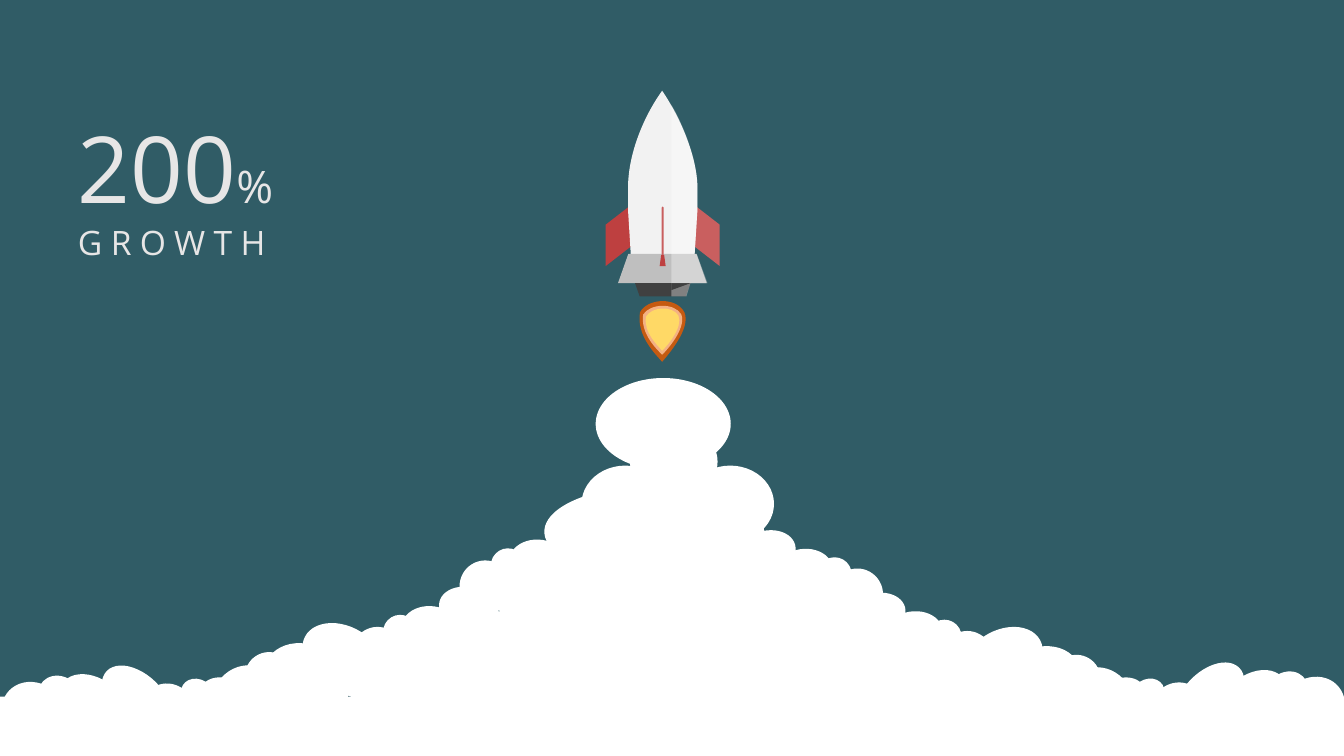
from math import radians, sin

from lxml.etree import SubElement
from pptx import Presentation
from pptx.dml.color import RGBColor
from pptx.enum.shapes import MSO_SHAPE
from pptx.enum.text import MSO_AUTO_SIZE
from pptx.oxml.ns import qn
from pptx.util import Pt

WHITE = "FFFFFF"
RED = "BE4040"
LIGHT_RED = "C95F5F"
DARK = "404040"

SMALL_ROUND = [(0, 0, 36.7, 36.7), (22.3, -8.6, 24.5, 24.5),
               (35, -14.6, 45.4, 36), (62, -28.4, 43.2, 31)]
LARGE_ROUND = [(0, 0, 51.8, 51.8), (23, -9.4, 34.6, 34.6),
               (35.3, -14.4, 63.4, 51.1), (62.6, -28.1, 60.5, 43.2)]
SMALL_FLAT = [(0, 0, 36.7, 31.7), (25.9, -3.6, 24.5, 20.9),
              (38.2, -2.9, 45.4, 31), (68.4, -7.9, 43.2, 26.6)]
LARGE_FLAT = [(0, 0, 51.8, 44.6), (26.6, -5, 34.6, 29.5),
              (37.4, -2.2, 63.4, 43.9), (68.4, -7.2, 60.5, 37.4)]

PUFF_BANKS = [
    (SMALL_ROUND, 13.7, (328.3, 400.3), (594, 406.1)),
    (SMALL_ROUND, 13.7, (251.3, 447.8), (672.5, 450.7)),
    (LARGE_ROUND, 27.2, (151.9, 475.2), (757.4, 476.6)),
    (SMALL_FLAT, 30.7, (190.1, 466.6), (733.7, 468)),
    (SMALL_FLAT, 30.7, (103, 488.9), (821.5, 488.2)),
    (LARGE_FLAT, 44.3, (-0.7, 488.9), (910.8, 485.3)),
]
RIGHT_TILT = 1.4

PLUME = [
    (415.4, 332.6, 62.6, 54.7), (490.3, 332.6, 62.6, 54.7),
    (450, 302.4, 62.6, 54.7), (425.5, 270, 96.5, 65.5),
    (276.5, 427, 409.7, 93.6), (349.2, 392.4, 257, 65.5),
    (388.8, 347, 157, 65.5), (239, 461.5, 487.4, 55.4),
]

FLAMES = [
    ("C55A11", (456.5, 215.3, 33.1, 43.2),
     [(457.2, 223.2), (454.3, 239.8, 468.7, 253.4, 473, 258.5),
      (476.6, 254.2, 493.9, 234.7, 488.9, 223.2),
      (483.1, 211.7, 462.2, 213.1, 457.2, 223.2)]),
    ("F4B183", (459.4, 218.2, 28.1, 35.3),
     [(459.4, 224.6), (457.2, 238.3, 469.4, 249.8, 473, 253.4),
      (476.6, 249.8, 490.3, 234.7, 486.7, 224.6),
      (481.7, 216, 464.4, 216.7, 459.4, 224.6)]),
    ("FFD966", (461.5, 220.3, 23.8, 30.2),
     [(461.5, 226.1), (459.4, 237.6, 470.2, 247, 473, 250.6),
      (475.9, 247.7, 488.2, 234, 484.6, 225.4),
      (480.2, 218.2, 465.8, 218.9, 461.5, 226.1)]),
]
BODY = [(473, 64.8), (485.3, 82.8, 498.2, 111.6, 498.2, 134.6),
        (498.2, 149.8), (498.2, 149.8), (496.1, 183.6), (450.7, 183.6),
        (448.6, 149.8), (448.6, 149.8), (448.6, 134.6),
        (448.6, 109.4, 460.1, 82.8, 473, 64.8)]
HIGHLIGHT = [(479.5, 74.9), (482.4, 79.9),
             (491, 96.5, 498.2, 117.4, 498.2, 134.6),
             (498.2, 149.8), (498.2, 149.8), (496.1, 181.4), (497.5, 181.4),
             (504.7, 202.3), (493.2, 202.3), (490.3, 211.7), (479.5, 211.7)]


def color(value):
    return RGBColor.from_string(value)


class Painter:
    font = "Open Sans"
    text_color = "E7E6E6"

    def __init__(self, page, background):
        self.page = page
        self.canvas = page.shapes
        page.background.fill.solid()
        page.background.fill.fore_color.rgb = color(background)

    def start_group(self):
        self.canvas = self.page.shapes.add_group_shape().shapes

    def finish(self, shape, fill, alpha=None):
        shape.shadow.inherit = False
        shape.line.fill.background()
        shape.fill.solid()
        shape.fill.fore_color.rgb = color(fill)
        if alpha is not None:
            tint = shape.element.spPr.find(qn("a:solidFill"))[0]
            SubElement(tint, qn("a:alpha")).set("val", str(alpha * 1000))

    def preset(self, kind, place, fill, adjust=None, rotation=0, flip=None, alpha=None):
        shape = self.canvas.add_shape(kind, *map(Pt, place))
        self.finish(shape, fill, alpha)
        shape.rotation = rotation
        if adjust is not None:
            shape.adjustments[0] = adjust
        if flip:
            shape.element.spPr.find(qn("a:xfrm")).set(flip, "1")

    def outline(self, place, segments, fill, alpha=None):
        left, top, width, height = place
        right, bottom = left + width, top + height
        builder = self.canvas.build_freeform(Pt(left), Pt(top))
        corners = [(right, top), (right, bottom), (left, bottom)]
        builder.add_line_segments([(Pt(x), Pt(y)) for x, y in corners], close=True)
        shape = builder.convert_to_shape()
        route = next(shape.element.iter(qn("a:path")))
        for step in list(route):
            route.remove(step)
        for index, segment in enumerate(segments):
            curve = "a:cubicBezTo" if len(segment) == 6 else "a:lnTo"
            step = SubElement(route, qn(curve if index else "a:moveTo"))
            for x, y in zip(segment[::2], segment[1::2]):
                point = SubElement(step, qn("a:pt"))
                point.set("x", str(Pt(x - left)))
                point.set("y", str(Pt(y - top)))
        SubElement(route, qn("a:close"))
        self.finish(shape, fill, alpha)

    def puff(self, place, rotation=0):
        self.preset(MSO_SHAPE.OVAL, place, WHITE, rotation=rotation)

    def text(self, place, lines):
        box = self.page.shapes.add_textbox(*map(Pt, place))
        frame = box.text_frame
        frame.word_wrap = True
        frame.auto_size = MSO_AUTO_SIZE.SHAPE_TO_FIT_TEXT
        for index, runs in enumerate(lines):
            para = frame.add_paragraph() if index else frame.paragraphs[0]
            for words, size, spacing in runs:
                span = para.add_run()
                span.text = words
                span.font.name = self.font
                span.font.size = Pt(size)
                span.font.color.rgb = color(self.text_color)
                if spacing:
                    span.font._element.set("spc", str(spacing * 100))


def draw_smoke(painter):
    painter.start_group()
    painter.preset(MSO_SHAPE.RECTANGLE, (0, 497.5, 960, 42.5), WHITE)
    drift = sin(radians(RIGHT_TILT))
    for puffs, angle, (left, left_top), (right, right_top) in PUFF_BANKS:
        first_width = puffs[0][2]
        for x, y, width, height in puffs:
            painter.puff((left + x, left_top + y, width, height), angle)
            mirrored = right + first_width - x - width
            painter.puff((mirrored, right_top + y + drift * x, width, height),
                         360 - angle - RIGHT_TILT)
    for place in PLUME:
        painter.puff(place)


def draw_rocket(painter):
    painter.start_group()
    for fill, place, segments in FLAMES:
        painter.outline(place, segments, fill)
    painter.preset(MSO_SHAPE.DIAGONAL_STRIPE, (456.5, 145.4, 57.6, 44.6), LIGHT_RED,
                   adjust=0.338, flip="flipH")
    painter.preset(MSO_SHAPE.DIAGONAL_STRIPE, (432.7, 145.4, 57.6, 44.6), RED, adjust=0.338)
    painter.outline((448.6, 64.8, 49.6, 118.8), BODY, "F2F2F2")
    painter.preset(MSO_SHAPE.TRAPEZOID, (441.4, 181.4, 63.4, 20.9), "BFBFBF", adjust=0.354)
    painter.preset(MSO_SHAPE.TRAPEZOID, (453.6, 202.3, 39.6, 9.4), DARK,
                   adjust=0.354, flip="flipV")
    painter.outline((479.5, 74.9, 25.2, 136.8), HIGHLIGHT, WHITE, alpha=34)
    painter.preset(MSO_SHAPE.ISOSCELES_TRIANGLE, (479.5, 202.3, 13.7, 5), DARK,
                   adjust=0, flip="flipV")
    painter.preset(MSO_SHAPE.ISOSCELES_TRIANGLE, (479.5, 181.4, 25.9, 20.9), "D5D5D5",
                   adjust=0.704, alpha=42)
    painter.preset(MSO_SHAPE.PENTAGON, (453.2, 167, 40.3, 1.4), LIGHT_RED, rotation=270)
    painter.preset(MSO_SHAPE.TRAPEZOID, (471.2, 182.2, 4.3, 7.9), RED)


def main():
    deck = Presentation()
    deck.slide_width, deck.slide_height = Pt(960), Pt(540)
    page = deck.slides.add_slide(deck.slide_layouts[6])
    painter = Painter(page, "305C66")
    draw_smoke(painter)
    draw_rocket(painter)
    painter.text((48.6, 75.6, 189.4, 116.6),
                 [[("200", 66, 0), ("%", 32, 0)], [("GROWTH", 24, 6)]])
    deck.save("out.pptx")


if __name__ == "__main__":
    main()
